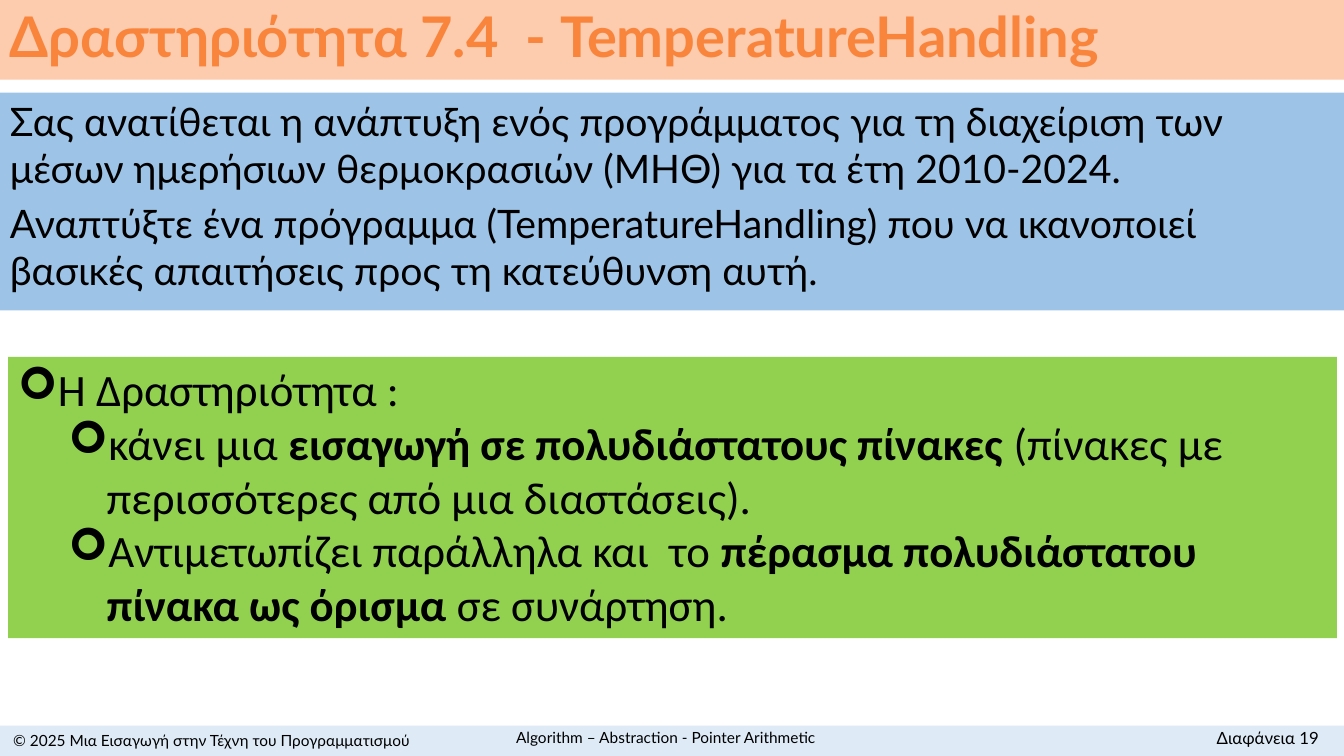
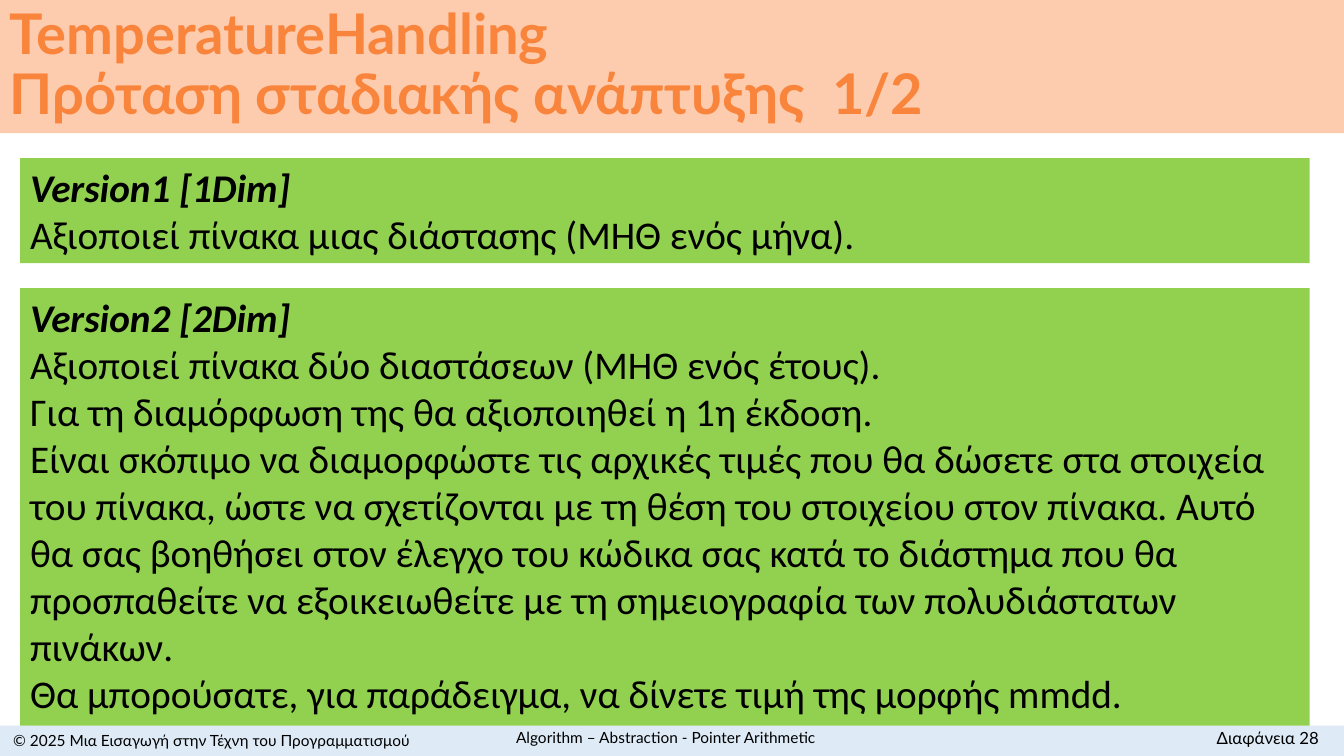
"""Build two activity slides on temperature handling with multidimensional arrays."""
from lxml import etree
from pptx import Presentation
from pptx.dml.color import RGBColor
from pptx.enum.shapes import MSO_SHAPE
from pptx.enum.text import MSO_ANCHOR, PP_ALIGN
from pptx.oxml.ns import qn
from pptx.util import Inches, Pt

RECT = MSO_SHAPE.RECTANGLE
TOP, MIDDLE = MSO_ANCHOR.TOP, MSO_ANCHOR.MIDDLE
LEFT, CENTER, RIGHT = PP_ALIGN.LEFT, PP_ALIGN.CENTER, PP_ALIGN.RIGHT

PEACH = RGBColor(0xFD, 0xCB, 0xAD)
ORANGE = RGBColor(0xF9, 0x85, 0x3D)
BLUE = RGBColor(0x9D, 0xC3, 0xE6)
GREEN = RGBColor(0x92, 0xD0, 0x50)
PALE_BLUE = RGBColor(0xDE, 0xEB, 0xF7)
BLACK = RGBColor(0, 0, 0)

HEAD_FONT, BODY_FONT = "Lato", "Calibri"
SLIDE_W, SLIDE_H = 13.33, 7.5
FOOTER_H = 0.3
BULLET_STEP, BULLET_HANG = 0.5, 0.38
PLAIN, BOLD, BOLD_ITALIC = (False, False), (True, False), (True, True)


def add_bullet(p, level):
    """Give a paragraph an arrow bullet with a hanging indent for its level."""
    p.level = level
    pPr = p._p.get_or_add_pPr()
    pPr.set("marL", str(Inches(BULLET_HANG + level * BULLET_STEP)))
    pPr.set("indent", str(-Inches(BULLET_HANG)))
    etree.SubElement(pPr, qn("a:buFont")).set("typeface", "Wingdings")
    etree.SubElement(pPr, qn("a:buChar")).set("char", "➢")


def write_text(sp, paragraphs, size, font=HEAD_FONT, color=BLACK, align=LEFT,
               anchor=TOP, line_spacing=None, gap=0, levels=None):
    """Write paragraphs, each a string or a list of (text, style) runs."""
    tf = sp.text_frame
    tf.word_wrap = True
    tf.vertical_anchor = anchor
    for i, runs in enumerate(paragraphs):
        p = tf.paragraphs[0] if i == 0 else tf.add_paragraph()
        p.alignment = align
        if line_spacing:
            p.line_spacing = line_spacing
        if gap and i:
            p.space_before = Pt(gap)
        if levels:
            add_bullet(p, levels[i])
        if isinstance(runs, str):
            runs = [(runs, PLAIN)]
        for text, (bold, italic) in runs:
            r = p.add_run()
            r.text = text
            r.font.size = Pt(size)
            r.font.name = font
            r.font.color.rgb = color
            r.font.bold = bold
            r.font.italic = italic


def add_panel(s, box, fill, paragraphs=(), **fmt):
    """Add a filled rectangle without outline and write its text."""
    sp = s.shapes.add_shape(RECT, *map(Inches, box))
    sp.shadow.inherit = False
    sp.fill.solid()
    sp.fill.fore_color.rgb = fill
    sp.line.fill.background()
    if paragraphs:
        write_text(sp, paragraphs, **fmt)


def add_label(s, box, text, **fmt):
    """Add a one-line text box."""
    write_text(s.shapes.add_textbox(*map(Inches, box)), [text], **fmt)


def add_title(s, height, *lines):
    """Add the title band across the top."""
    add_panel(s, (0, 0, SLIDE_W, height), PEACH,
              [[(line, BOLD)] for line in lines],
              size=40, color=ORANGE, anchor=MIDDLE, line_spacing=0.9)


def add_footer(s, number):
    """Add the footer band with copyright, topic and slide number."""
    add_panel(s, (0, SLIDE_H - FOOTER_H, SLIDE_W, FOOTER_H), PALE_BLUE)
    add_label(s, (0, 7.22, 4.2, 0.26),
              "© 2025 Μια Εισαγωγή στην Τέχνη του Προγραμματισμού",
              size=11, align=CENTER, anchor=MIDDLE)
    add_label(s, (4.07, 7.17, 5.07, FOOTER_H),
              "Algorithm – Abstraction - Pointer Arithmetic",
              size=11, align=CENTER, anchor=MIDDLE)
    add_label(s, (11.12, 7.17, 2.06, FOOTER_H), f"Διαφάνεια {number}",
              size=12, align=RIGHT)


def add_version(s, top, height, heading, *lines):
    """Add a green panel that describes one version of the program."""
    add_panel(s, (0.2, top, 12.79, height), GREEN,
              [[(heading, BOLD_ITALIC)], *lines], size=28, font=BODY_FONT)


def build_activity(s):
    """Build the slide that introduces the activity."""
    add_title(s, 0.79, "Δραστηριότητα 7.4  - TemperatureHandling")
    add_panel(s, (0, 0.92, SLIDE_W, 2.16), BLUE, [
        "Σας ανατίθεται η ανάπτυξη ενός προγράμματος για τη διαχείριση των "
        "μέσων ημερήσιων θερμοκρασιών (ΜΗΘ) για τα έτη 2010-2024.",
        "Αναπτύξτε ένα πρόγραμμα (TemperatureHandling) που να ικανοποιεί "
        "βασικές απαιτήσεις προς τη κατεύθυνση αυτή.",
    ], size=28, gap=5.6)
    add_panel(s, (0.08, 3.54, 13.18, 2.79), GREEN, [
        "Η Δραστηριότητα :",
        [("κάνει μια ", PLAIN),
         ("εισαγωγή σε πολυδιάστατους πίνακες ", BOLD),
         ("(πίνακες με περισσότερες από μια διαστάσεις).", PLAIN)],
        [("Αντιμετωπίζει παράλληλα και  το ", PLAIN),
         ("πέρασμα πολυδιάστατου πίνακα ως όρισμα", BOLD),
         (" σε συνάρτηση.", PLAIN)],
    ], size=32, font=BODY_FONT, levels=(0, 1, 1))
    add_footer(s, 19)


def build_versions(s):
    """Build the slide with the stepwise development proposal."""
    add_title(s, 1.32, "TemperatureHandling",
              "Πρόταση σταδιακής ανάπτυξης  1/2")
    add_footer(s, 28)
    add_version(s, 1.57, 1.04, "Version1 [1Dim]",
                "Αξιοποιεί πίνακα μιας διάστασης (ΜΗΘ ενός μήνα).")
    add_version(s, 2.86, 4.34, "Version2 [2Dim]",
                "Αξιοποιεί πίνακα δύο διαστάσεων (ΜΗΘ ενός έτους).",
                "Για τη διαμόρφωση της θα αξιοποιηθεί η 1η έκδοση.",
                "Είναι σκόπιμο να διαμορφώστε τις αρχικές τιμές που θα δώσετε "
                "στα στοιχεία του πίνακα, ώστε να σχετίζονται με τη θέση του "
                "στοιχείου στον πίνακα. Αυτό θα σας βοηθήσει στον έλεγχο του "
                "κώδικα σας κατά το διάστημα που θα προσπαθείτε να "
                "εξοικειωθείτε με τη σημειογραφία των πολυδιάστατων πινάκων.",
                "Θα μπορούσατε, για παράδειγμα, να δίνετε τιμή της μορφής "
                "mmdd.")


def main():
    """Create the presentation and save it."""
    prs = Presentation()
    prs.slide_width, prs.slide_height = Inches(SLIDE_W), Inches(SLIDE_H)
    for build in (build_activity, build_versions):
        build(prs.slides.add_slide(prs.slide_layouts[6]))
    prs.save("out.pptx")


if __name__ == "__main__":
    main()
